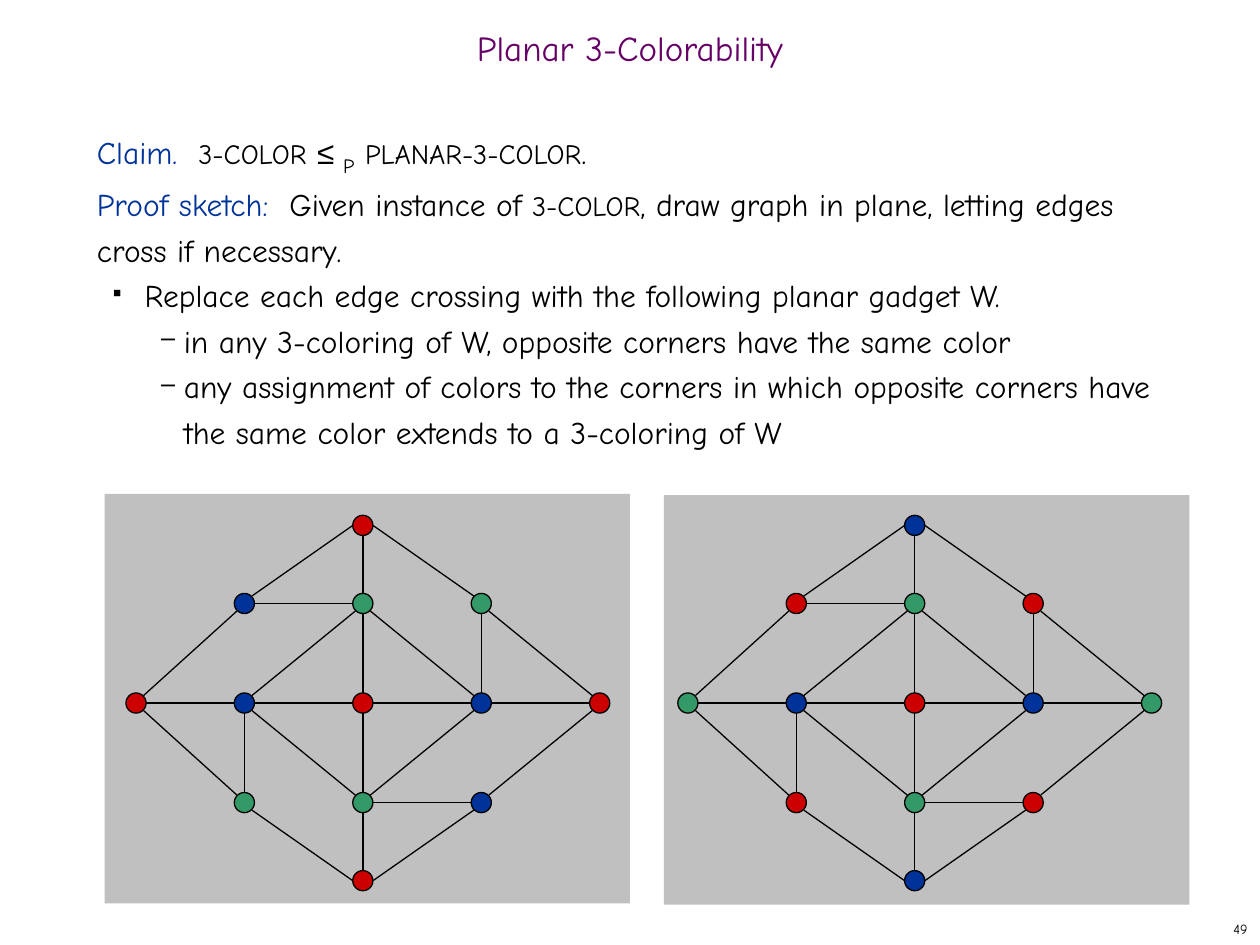
from lxml.etree import SubElement
from pptx import Presentation
from pptx.dml.color import RGBColor
from pptx.enum.shapes import MSO_CONNECTOR as Line, MSO_SHAPE as Shape
from pptx.enum.text import MSO_ANCHOR as Anchor, PP_ALIGN as Align
from pptx.oxml.ns import qn
from pptx.util import Inches, Pt

COLORS = {"black": "000000", "purple": "660066", "gray": "C0C0C0",
          "red": "CC0000", "blue": "003399", "green": "339966"}
FONT = "Comic Neue"

TITLE = "Planar 3-Colorability"
PAGE = "49"

# Paragraph: level, runs; run: text, size, color, then font and baseline if special
BODY = [
    (0, [("Claim.  ", 18, "blue"), ("3-COLOR", 16, "black"), (" ", 18, "black"),
         ("≤ ", 18, "black", "Arial"), ("P", 20, "black", FONT, -25),
         (" ", 18, "black"), ("PLANAR-3-COLOR", 16, "black"), (".", 18, "black")]),
    (0, [("Proof sketch:  ", 18, "blue"), ("Given instance of ", 18, "black"),
         ("3-COLOR", 16, "black"),
         (", draw graph in plane, letting edges cross if necessary.", 18, "black")]),
    (1, [("Replace each edge crossing with the following planar gadget W.", 18, "black")]),
    (2, [("in any 3-coloring of W, opposite corners have the same color", 18, "black")]),
    (2, [("any assignment of colors to the corners in which opposite corners have "
          "the same color extends to a 3-coloring of W", 18, "black")]),
]
# Level: left margin, indent, bullet, bullet size in percent
BULLETS = {1: (0.38, -0.25, "■", 35), 2: (0.69, -0.18, "–", 80)}

# Gadget nodes, as offsets from the center node
NODES = {
    "N": (0, -1.41), "NW": (-0.94, -0.79), "n": (0, -0.79), "NE": (0.94, -0.79),
    "W": (-1.8, 0), "w": (-0.94, 0), "c": (0, 0), "e": (0.94, 0), "E": (1.88, 0),
    "SW": (-0.94, 0.79), "s": (0, 0.79), "SE": (0.94, 0.79), "S": (0, 1.41),
}
EDGES = ("W-w w-c c-e e-E NW-n s-SE N-n n-c c-s s-S "
         "N-NW NW-W W-SW SW-S N-NE NE-E E-SE SE-S "
         "n-w n-e s-w s-e w-SW e-NE").split()
INNER = {"c": "red", "w": "blue", "e": "blue", "n": "green", "s": "green"}
# Panel left, panel top, center x, node colors
GADGETS = [
    (0.83, 3.92, 2.88, INNER | {
        "N": "red", "S": "red", "W": "red", "E": "red",
        "NW": "blue", "SE": "blue", "NE": "green", "SW": "green"}),
    (5.27, 3.93, 7.26, INNER | {
        "N": "blue", "S": "blue", "W": "green", "E": "green",
        "NW": "red", "SE": "red", "NE": "red", "SW": "red"}),
]
MID_Y = 5.58
RADIUS = 0.08
SLANT = 0.06


def rgb(name):
    return RGBColor.from_string(COLORS[name])


def style(run, size, color, font=FONT, base=0):
    run.font.size = Pt(size)
    run.font.name = font
    run.font.color.rgb = rgb(color)
    if base:
        run.font._element.set("baseline", str(base * 1000))


def add_box(slide, left, top, width, height, anchor=Anchor.TOP):
    box = slide.shapes.add_textbox(*map(Inches, (left, top, width, height)))
    frame = box.text_frame
    frame.word_wrap = True
    frame.vertical_anchor = anchor
    return frame


def add_label(slide, place, text, size, color, align):
    para = add_box(slide, *place, Anchor.MIDDLE).paragraphs[0]
    para.text = text
    para.alignment = align
    style(para.runs[0], size, color)
    return para


def set_bullet(para, left, indent, char, percent):
    props = para._p.get_or_add_pPr()
    props.set("marL", str(Inches(left)))
    props.set("indent", str(Inches(indent)))
    color = SubElement(props, qn("a:buClr"))
    SubElement(color, qn("a:srgbClr"), val=COLORS["black"])
    SubElement(props, qn("a:buSzPct"), val=str(percent * 1000))
    SubElement(props, qn("a:buChar"), char=char)


def add_body(slide):
    frame = add_box(slide, 0.67, 1, 8.58, 5.92)
    for i, (level, runs) in enumerate(BODY):
        para = frame.add_paragraph() if i else frame.paragraphs[0]
        para.level = level
        para.line_spacing = Pt(26)
        if level:
            set_bullet(para, *BULLETS[level])
        for text, *look in runs:
            run = para.add_run()
            run.text = text
            style(run, *look)


def add_solid(slide, kind, place, color):
    shape = slide.shapes.add_shape(kind, *map(Inches, place))
    shape.shadow.inherit = False
    shape.fill.solid()
    shape.fill.fore_color.rgb = rgb(color)
    shape.line.fill.background()
    return shape


def rim(name, other):
    """Offset from a node's center to the point where the edge to other leaves it."""
    (x, y), (to_x, to_y) = NODES[name], NODES[other]
    dx = (to_x > x) - (to_x < x)
    dy = (to_y > y) - (to_y < y)
    if dx and dy:
        return (dx * RADIUS, 0) if name in "NS" else (dx * SLANT, dy * SLANT)
    return dx * RADIUS, dy * RADIUS


def add_edge(slide, mid_x, start, end):
    ends = []
    for name, other in ((start, end), (end, start)):
        x, y = NODES[name]
        dx, dy = rim(name, other)
        ends += [mid_x + x + dx, MID_Y + y + dy]
    line = slide.shapes.add_connector(Line.STRAIGHT, *map(Inches, ends))
    line.line.color.rgb = rgb("black")
    line.line.width = Pt(0.75)
    SubElement(line._element.spPr, qn("a:effectLst"))


def add_gadget(slide, mid_x, fills):
    for edge in EDGES:
        add_edge(slide, mid_x, *edge.split("-"))
    for name, (x, y) in NODES.items():
        place = (mid_x + x - RADIUS, MID_Y + y - RADIUS, 2 * RADIUS, 2 * RADIUS)
        node = add_solid(slide, Shape.OVAL, place, fills[name])
        node.line.color.rgb = rgb("black")
        node.line.width = Pt(0.75)


def main():
    deck = Presentation()
    deck.slide_width, deck.slide_height = Inches(10), Inches(7.5)
    slide = deck.slides.add_slide(deck.slide_layouts[6])
    add_label(slide, (7.92, 7.25, 2.08, 0.25), PAGE, 8, "black", Align.RIGHT)
    for left, top, _, _ in GADGETS:
        add_solid(slide, Shape.RECTANGLE, (left, top, 4.17, 3.25), "gray")
    title = add_label(slide, (0, 0.17, 10, 0.5), TITLE, 20, "purple", Align.CENTER)
    title.line_spacing = 0.7
    add_body(slide)
    for _, _, mid_x, fills in GADGETS:
        add_gadget(slide, mid_x, fills)
    deck.save("out.pptx")


if __name__ == "__main__":
    main()
